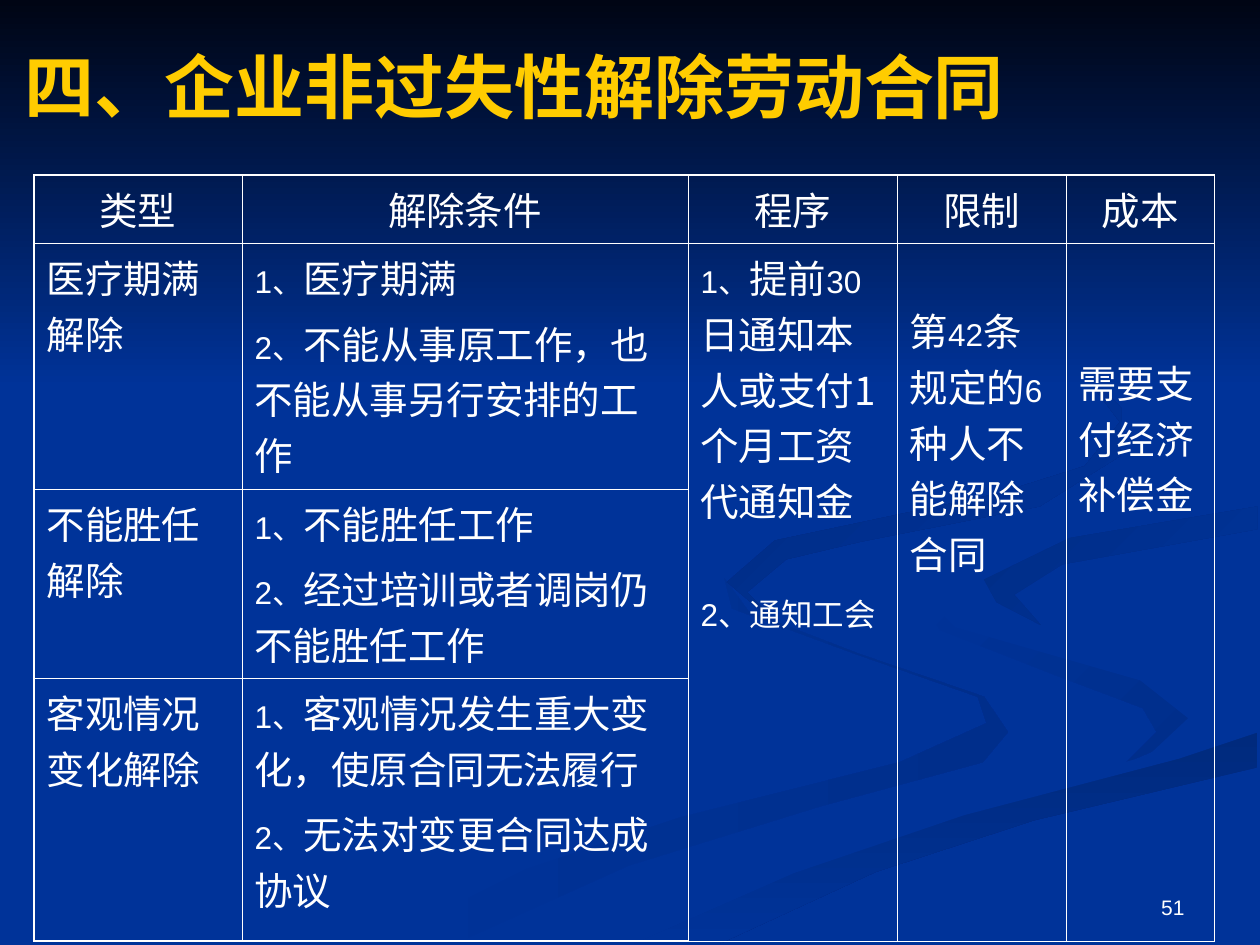
from lxml import etree
from pptx import Presentation
from pptx.dml.color import RGBColor
from pptx.enum.shapes import MSO_SHAPE
from pptx.enum.text import MSO_ANCHOR, PP_ALIGN
from pptx.oxml.ns import qn
from pptx.util import Inches, Pt

RECTANGLE = MSO_SHAPE.RECTANGLE
MIDDLE, BOTTOM = MSO_ANCHOR.MIDDLE, MSO_ANCHOR.BOTTOM
LEFT, CENTER, RIGHT = PP_ALIGN.LEFT, PP_ALIGN.CENTER, PP_ALIGN.RIGHT

GRID_COLUMNS, GRID_ROWS = 1000, 750
UNIT = Inches(10) // GRID_COLUMNS
HAN, LATIN, SERIF = "Noto Sans CJK SC", "Arial", "Times New Roman"
COLORS = {
    "blue": "003399", "night": "000514", "white": "FFFFFF", "gold": "FFCC00",
    "shade1": "002E8B", "shade2": "002A7D", "shade3": "002D86", "shade4": "002B82",
}

RIBBONS = [
    (("blue", "shade1"), 0, [
        (781, 553), (682, 519), (594, 485), (575, 459), (581, 483), (679, 519),
        (776, 553), (783, 574), (714, 605), (539, 649), (417, 690), (300, 749),
        (361, 749), (499, 687), (651, 640), (780, 605), (800, 581)]),
    (("blue", "shade1"), 45, [
        (943, 570), (905, 540), (758, 498), (724, 464), (746, 500), (838, 536),
        (907, 562), (918, 581), (894, 605), (932, 589)]),
    (("shade2", "blue"), 90, [
        (503, 749), (571, 749), (695, 692), (821, 651), (998, 609), (998, 581),
        (936, 602), (764, 647), (630, 693)]),
    (("blue",), 0, [
        (725, 464), (759, 498), (905, 540), (943, 570), (911, 600), (704, 655),
        (573, 703), (477, 749), (503, 749), (630, 693), (765, 647), (936, 602),
        (999, 581), (999, 538), (832, 498), (781, 463), (822, 434), (999, 402),
        (999, 387), (788, 422)]),
    (("shade3", "blue"), 45, [
        (781, 460), (791, 478), (826, 496), (805, 472), (843, 448), (998, 420),
        (998, 402), (849, 427)]),
    (("shade4", "blue"), 45, [
        (683, 430), (825, 402), (889, 362), (890, 324), (843, 275), (762, 233),
        (846, 279), (889, 335), (861, 370), (791, 392), (615, 429), (577, 462),
        (622, 500), (593, 470), (624, 444)]),
]

HEADERS = ["类型", "解除条件", "程序", "限制", "成本"]
CASES = [
    ("医疗期满解除", ["|1、|医疗期满", "|2、|不能从事原工作，也不能从事另行安排的工作"]),
    ("不能胜任解除", ["|1、|不能胜任工作", "|2、|经过培训或者调岗仍不能胜任工作"]),
    ("客观情况变化解除", ["|1、|客观情况发生重大变化，使原合同无法履行",
                  "|2、|无法对变更合同达成协议"]),
]
SHARED_RULES = [
    (["|1、|提前|30|日通知本人或支付1个月工资代通知金", "|2、通知工会"], 5, 35.3),
    (["第|42|条规定的|6|种人不能解除合同"], 47, 0),
    (["需要支付经济补偿金"], 88, 0),
]
COLUMN_WIDTHS = [165, 354, 166, 134, 118]
ROW_HEIGHTS = [54, 195, 150, 209]


def color(name):
    return RGBColor.from_string(COLORS[name])


def grid(*lengths):
    return [length * UNIT for length in lengths]


def add_span(para, text, font=HAN, size=22, tint="white", bold=False):
    span = para.add_run()
    span.text = text
    span.font.name, span.font.size, span.font.bold = font, Pt(size), bold
    span.font.color.rgb = color(tint)
    etree.SubElement(span._r.get_or_add_rPr(), qn("a:ea"), typeface=HAN)


def paint(shape, names, angle):
    shape.shadow.inherit = False
    shape.line.fill.background()
    if len(names) == 1:
        shape.fill.solid()
        shape.fill.fore_color.rgb = color(names[0])
        return
    shape.fill.gradient()
    shape.fill.gradient_angle = -angle % 360
    for stop, name in zip(shape.fill.gradient_stops, names):
        stop.color.rgb = color(name)


def add_backdrop(page, box):
    page.background.fill.solid()
    page.background.fill.fore_color.rgb = color("blue")
    for names, angle, points in RIBBONS:
        builder = page.shapes.build_freeform(*points[0], scale=UNIT)
        builder.add_line_segments(points[1:], close=True)
        paint(builder.convert_to_shape(), names, angle)
    band = page.shapes.add_shape(RECTANGLE, *grid(*box))
    paint(band, ("night", "blue"), 90)


def add_label(page, box, text, anchor, align, **style):
    frame = page.shapes.add_textbox(*grid(*box)).text_frame
    frame.word_wrap = True
    frame.vertical_anchor = anchor
    frame.paragraphs[0].alignment = align
    add_span(frame.paragraphs[0], text, **style)


def add_borders(cell, outer_sides):
    for side in "LRTB":
        width = Pt(1.08 if side in outer_sides else 0.45)
        line = etree.SubElement(cell._tc.get_or_add_tcPr(), qn(f"a:ln{side}"), w=str(width))
        fill = etree.SubElement(line, qn("a:solidFill"))
        etree.SubElement(fill, qn("a:srgbClr"), val=COLORS["white"])


def fill_cell(cell, texts, align=LEFT, top=5, gap=5.5):
    cell.margin_top = top * UNIT
    for index, text in enumerate(texts):
        para = cell.text_frame.paragraphs[0] if index == 0 else cell.text_frame.add_paragraph()
        para.alignment = align
        para.space_before = Pt(gap if index else 0)
        for position, part in enumerate(text.split("|")):
            if part and position % 2:
                add_span(para, part, font=LATIN, size=18)
            elif part:
                add_span(para, part)


def add_rules_table(page, left, top):
    row_count, column_count = len(ROW_HEIGHTS), len(COLUMN_WIDTHS)
    box = grid(left, top, sum(COLUMN_WIDTHS), sum(ROW_HEIGHTS))
    table = page.shapes.add_table(row_count, column_count, *box).table
    table.first_row = table.horz_banding = False
    for column, width in zip(table.columns, COLUMN_WIDTHS):
        column.width = width * UNIT
    for row, height in zip(table.rows, ROW_HEIGHTS):
        row.height = height * UNIT

    for row in range(row_count):
        for column in range(column_count):
            cell = table.cell(row, column)
            edges = {"L": column == 0, "R": column == column_count - 1,
                     "T": row == 0, "B": row == row_count - 1}
            add_borders(cell, [side for side, outer in edges.items() if outer])
            cell.fill.background()
            cell.margin_left = cell.margin_right = 10 * UNIT
            cell.margin_top = cell.margin_bottom = 5 * UNIT

    for column, header in enumerate(HEADERS):
        fill_cell(table.cell(0, column), [header], align=CENTER)
    for row, (kind, conditions) in enumerate(CASES, 1):
        fill_cell(table.cell(row, 0), [kind])
        fill_cell(table.cell(row, 1), conditions)
    for column, (texts, margin, gap) in enumerate(SHARED_RULES, 2):
        table.cell(1, column).merge(table.cell(row_count - 1, column))
        fill_cell(table.cell(1, column), texts, top=margin, gap=gap)


def main():
    deck = Presentation()
    deck.slide_width, deck.slide_height = grid(GRID_COLUMNS, GRID_ROWS)
    page = deck.slides.add_slide(deck.slide_layouts[6])
    add_backdrop(page, (0, 0, GRID_COLUMNS, 308))
    add_label(page, (717, 683, 233, 52), "51", BOTTOM, RIGHT, font=LATIN, size=12)
    add_label(page, (10, 5, 900, 125), "四、企业非过失性解除劳动合同", MIDDLE, LEFT,
              font=SERIF, size=40, tint="gold", bold=True)
    add_rules_table(page, 27, 139)
    deck.save("out.pptx")


if __name__ == "__main__":
    main()
